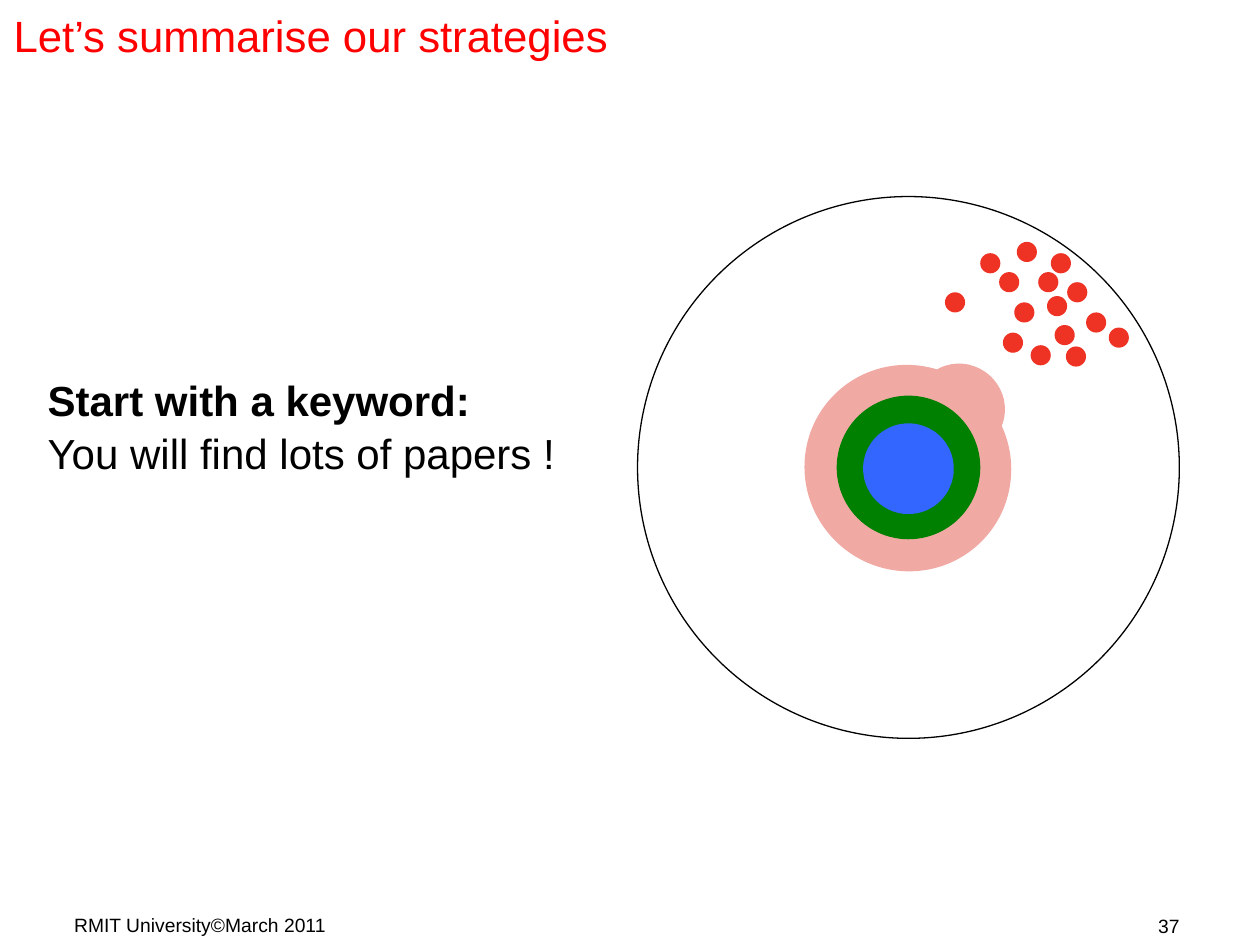
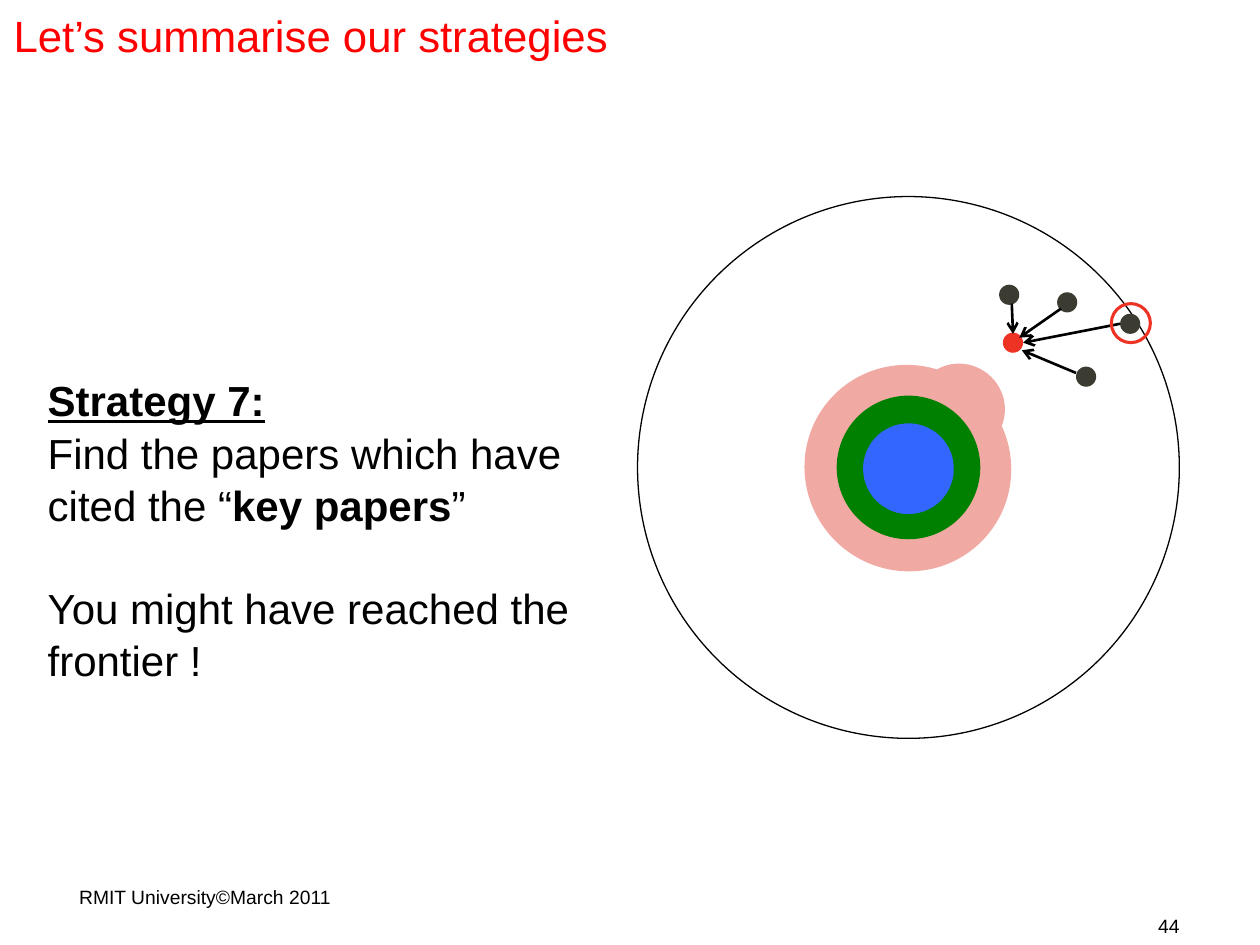
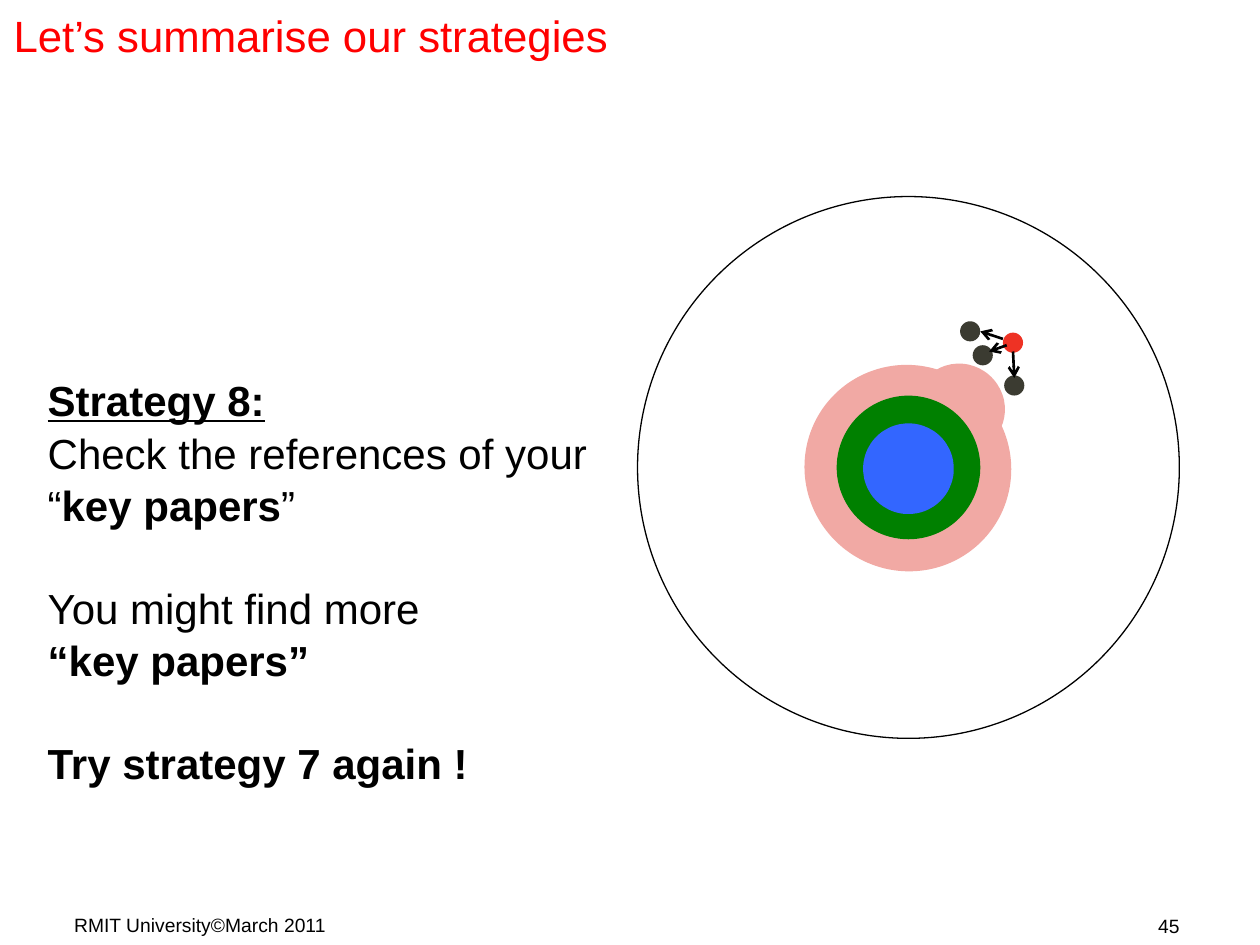
from dataclasses import dataclass
from lxml import etree
from pptx import Presentation
from pptx.dml.color import RGBColor as RGB
from pptx.enum.shapes import MSO_CONNECTOR as CONNECTOR, MSO_SHAPE as SHAPE
from pptx.enum.text import PP_ALIGN as ALIGN
from pptx.oxml.ns import qn
from pptx.util import Inches, Pt


@dataclass(frozen=True)
class Theme:
    font: str = "Arial"
    title_size: int = 25
    body_size: int = 24
    footer_size: int = 11
    black: RGB = RGB(0x00, 0x00, 0x00)
    white: RGB = RGB(0xFF, 0xFF, 0xFF)
    title: RGB = RGB(0xFF, 0x00, 0x00)
    pink: RGB = RGB(0xF1, 0xA9, 0xA4)
    green: RGB = RGB(0x00, 0x80, 0x00)
    blue: RGB = RGB(0x33, 0x66, 0xFF)
    key_paper: RGB = RGB(0xEE, 0x32, 0x24)
    linked_paper: RGB = RGB(0x3B, 0x3B, 0x31)


theme = Theme()
DOT = 0.16
KEY_PAPER = (7.96, 2.64)
FOOTER_PLACE = (0.49, 7.18)
BODY_LINE_SPACING = 1.04

# Left, top, width, height, fill, line colour; from back to front.
KNOWLEDGE_CIRCLES = [
    (7.26, 2.89, 0.72, 0.70, theme.pink, None),
    (5.06, 1.56, 4.30, 4.30, None, theme.black),
    (6.38, 2.90, 1.65, 1.63, theme.pink, None),
    (6.64, 3.14, 1.14, 1.14, theme.green, None),
    (6.85, 3.36, 0.72, 0.72, theme.blue, None),
]

# A body paragraph is (blank line before, [(text, bold, underline), ...]).
SLIDES = [
    dict(
        number=37, footer=FOOTER_PLACE, body_size=(4.47, 0.91),
        body=[
            (False, [("Start with a keyword:", True, False)]),
            (False, [("You will find lots of papers !", False, False)]),
        ],
        key_papers=[
            (8.37, 2.58), (8.05, 2.40), (7.50, 2.32), (8.62, 2.48), (8.46, 2.75),
            (8.31, 2.35), (8.80, 2.60), (7.78, 2.01), (8.47, 2.24), KEY_PAPER,
            (8.18, 2.74), (7.93, 2.16), (8.34, 2.01), (8.07, 1.92), (8.24, 2.16),
        ],
        linked_papers=[], arrows=[], frontier_ring=None,
    ),
    dict(
        number=44, footer=(0.53, 6.96), body_size=(4.72, 2.52),
        body=[
            (False, [("Strategy 7:", True, True)]),
            (False, [("Find the papers which have cited the “", False, False),
                     ("key papers", True, False), ("”", False, False)]),
            (True, [("You might have reached the frontier !", False, False)]),
        ],
        key_papers=[KEY_PAPER],
        linked_papers=[(7.93, 2.26), (8.89, 2.49), (8.54, 2.91), (8.39, 2.32)],
        arrows=[
            (8.03, 2.41, 8.04, 2.65), (8.42, 2.45, 8.09, 2.68),
            (8.54, 2.96, 8.11, 2.78), (8.89, 2.57, 8.12, 2.72),
        ],
        frontier_ring=(8.82, 2.41, 0.31, 0.31),
    ),
    dict(
        number=45, footer=FOOTER_PLACE, body_size=(4.59, 3.74),
        body=[
            (False, [("Strategy 8:", True, True)]),
            (False, [("Check the references of your “", False, False),
                     ("key papers", True, False), ("”", False, False)]),
            (True, [("You might find more", False, False)]),
            (False, [("“key papers”", True, False)]),
            (True, [("Try strategy 7 again !", True, False)]),
        ],
        key_papers=[KEY_PAPER],
        linked_papers=[(7.62, 2.55), (7.97, 2.98), (7.72, 2.74)],
        arrows=[
            (7.99, 2.74, 7.85, 2.79), (8.04, 2.79, 8.05, 3.00),
            (7.96, 2.69, 7.78, 2.63),
        ],
        frontier_ring=None,
    ),
]


def add_ellipse(slide, place, fill=None, line=None, line_width=0.75, rotation=0):
    shape = slide.shapes.add_shape(SHAPE.OVAL, *map(Inches, place))
    shape.shadow.inherit = False
    shape.rotation = rotation
    if fill is None:
        shape.fill.background()
    else:
        shape.fill.solid()
        shape.fill.fore_color.rgb = fill
    if line is None:
        shape.line.fill.background()
    else:
        shape.line.color.rgb = line
        shape.line.width = Pt(line_width)


def add_text(slide, place, paragraphs, size, color=theme.black, align=ALIGN.LEFT,
             top_inset=0.07, line_spacing=1.0):
    """Add a wrapped text box whose paragraphs follow the layout used in SLIDES."""
    box = slide.shapes.add_textbox(*map(Inches, place))
    frame = box.text_frame
    frame.word_wrap = True
    frame.margin_top = Inches(top_inset)
    for index, (blank_before, runs) in enumerate(paragraphs):
        paragraph = frame.paragraphs[0] if index == 0 else frame.add_paragraph()
        paragraph.alignment = align
        paragraph.line_spacing = line_spacing
        if blank_before:
            paragraph.space_before = Pt(1.2 * size)
        paragraph.font.name = theme.font
        paragraph.font.size = Pt(size)
        paragraph.font.color.rgb = color
        for text, bold, underline in runs:
            run = paragraph.add_run()
            run.text = text
            run.font.bold = bold
            run.font.underline = underline
    return box


presentation = Presentation()
presentation.slide_width = Inches(10)
presentation.slide_height = Inches(7.5)

for content in SLIDES:
    slide = presentation.slides.add_slide(presentation.slide_layouts[6])

    footer = [(False, [("RMIT University©March 2011", False, False)])]
    add_text(slide, (*content["footer"], 2.33, 0.24), footer, theme.footer_size)
    number = [(False, [(str(content["number"]), False, False)])]
    add_text(slide, (7.13, 7.19, 2.33, 0.24), number, theme.footer_size,
             align=ALIGN.RIGHT)

    for *place, fill, line in KNOWLEDGE_CIRCLES:
        add_ellipse(slide, place, fill, line, rotation=41.4)
    for left, top in content["key_papers"]:
        add_ellipse(slide, (left, top, DOT, DOT), theme.key_paper)
    for left, top in content["linked_papers"]:
        add_ellipse(slide, (left, top, DOT, DOT), theme.linked_paper)

    for ends in content["arrows"]:
        arrow = slide.shapes.add_connector(CONNECTOR.STRAIGHT, *map(Inches, ends))
        arrow.line.color.rgb = theme.black
        arrow.line.width = Pt(1.5)
        etree.SubElement(arrow.line._get_or_add_ln(), qn("a:tailEnd"), type="arrow")
        etree.SubElement(arrow._element.spPr, qn("a:effectLst"))

    title = [(False, [("Let’s summarise our strategies", False, False)])]
    add_text(slide, (0.01, 0, 8.11, 0.52), title, theme.title_size, theme.title)

    body = add_text(slide, (0.28, 2.91, *content["body_size"]), content["body"],
                    theme.body_size, top_inset=0.05, line_spacing=BODY_LINE_SPACING)
    body.fill.solid()
    body.fill.fore_color.rgb = theme.white

    if content["frontier_ring"]:
        add_ellipse(slide, content["frontier_ring"], line=theme.key_paper,
                    line_width=1.75)

presentation.save("out.pptx")
